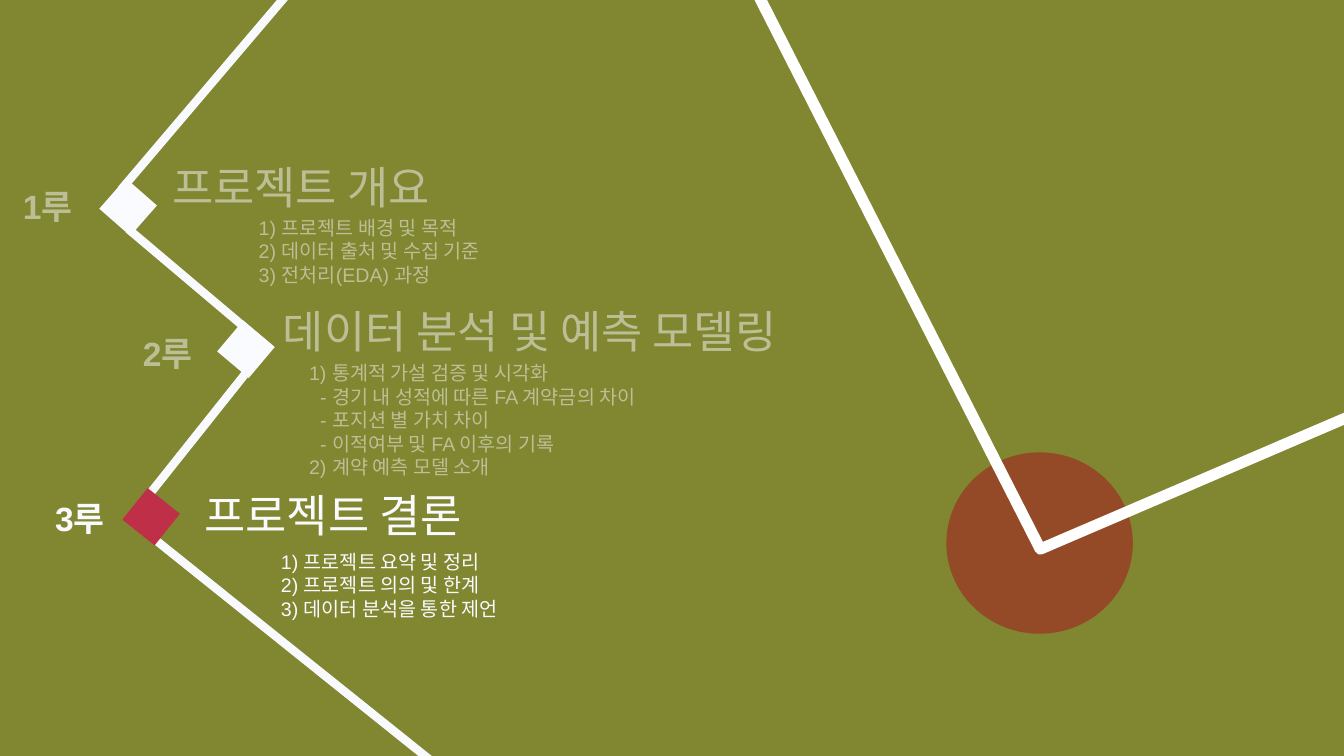
"""Build a baseball-diamond agenda slide with the conclusion section highlighted."""
import pptx
import pptx.util
import pptx.dml.color
import pptx.enum.shapes
import pptx.enum.text
import pptx.oxml
import pptx.oxml.ns

Cm = pptx.util.Cm
Pt = pptx.util.Pt
SHAPES = pptx.enum.shapes.MSO_SHAPE
CHALK = "F9FAFD"
GRASS = "818630"


def color(hex_string):
    return pptx.dml.color.RGBColor.from_string(hex_string)


def write(shape, lines, size, bold=False):
    frame = shape.text_frame
    frame.word_wrap = True
    frame.auto_size = pptx.enum.text.MSO_AUTO_SIZE.SHAPE_TO_FIT_TEXT
    frame.vertical_anchor = pptx.enum.text.MSO_ANCHOR.TOP
    frame.text = "\n".join(lines)
    for paragraph in frame.paragraphs:
        paragraph.alignment = pptx.enum.text.PP_ALIGN.LEFT
        paragraph.line_spacing = 1.0
        if paragraph.text.startswith("-"):
            paragraph._p.get_or_add_pPr().set("marL", str(Cm(0.28)))
        paragraph.font.name = "Arial"
        paragraph.font.size = Pt(size)
        paragraph.font.bold = bold
        paragraph.font.color.rgb = color(CHALK)


presentation = pptx.Presentation()
presentation.slide_width = Cm(33.87)
presentation.slide_height = Cm(19.05)
slide = presentation.slides.add_slide(presentation.slide_layouts[5])
slide.background.fill.solid()
slide.background.fill.fore_color.rgb = color(GRASS)
shapes = slide.shapes

title = shapes.title
title.left, title.top, title.width, title.height = Cm(4.9), Cm(12.17), Cm(14.3), Cm(1.63)
write(title, ["프로젝트 결론"], 32)

earlier_headings = [
    ("프로젝트 개요", 4.09, 3.91),
    ("데이터 분석 및 예측 모델링", 6.88, 7.54),
]
for heading, left, top in earlier_headings:
    write(shapes.add_textbox(Cm(left), Cm(top), Cm(14.3), Cm(1.63)), [heading], 32)

base_labels = [("1루", 0.33, 4.57), ("2루", 3.35, 8.26), ("3루", 1.14, 12.42)]
for label, left, top in base_labels:
    write(shapes.add_textbox(Cm(left), Cm(top), Cm(3.15), Cm(1.27)), [label], 24, True)

topics = [
    (6.27, 5.31, 2.06, [
        "1) 프로젝트 배경 및 목적",
        "2) 데이터 출처 및 수집 기준",
        "3) 전처리(EDA) 과정",
    ]),
    (7.54, 8.97, 3.25, [
        "1) 통계적 가설 검증 및 시각화",
        "- 경기 내 성적에 따른 FA 계약금의 차이",
        "- 포지션 별 가치 차이",
        "- 이적여부 및 FA 이후의 기록",
        "2) 계약 예측 모델 소개",
    ]),
    (6.83, 13.72, 2.06, [
        "1) 프로젝트 요약 및 정리",
        "2) 프로젝트 의의 및 한계",
        "3) 데이터 분석을 통한 제언",
    ]),
]
for left, top, height, lines in topics:
    write(shapes.add_textbox(Cm(left), Cm(top), Cm(18.82), Cm(height)), lines, 14)

veil = shapes.add_shape(SHAPES.RECTANGLE, Cm(0.15), Cm(2.46), Cm(19.48), Cm(9.75))
veil.shadow.inherit = False
veil.fill.solid()
veil.fill.fore_color.rgb = color(GRASS)
veil.line.fill.background()
veil_color = veil.fill._xPr.find(".//" + pptx.oxml.ns.qn("a:srgbClr"))
veil_color.append(pptx.oxml.parse_xml(
    f'<a:alpha {pptx.oxml.ns.nsdecls("a")} val="50000"/>'))

mound = shapes.add_shape(SHAPES.OVAL, Cm(23.85), Cm(11.4), Cm(4.7), Cm(4.57))
mound.shadow.inherit = False
mound.fill.solid()
mound.fill.fore_color.rgb = color("944A27")
mound.line.fill.background()

infield = shapes.add_shape(SHAPES.DIAMOND, Cm(16.74), Cm(-15.01), Cm(28.73), Cm(30.68))
infield.rotation = 109.9
infield.shadow.inherit = False
infield.fill.background()
infield.line.color.rgb = color("FFFFFF")
infield.line.width = Pt(8)

base_paths = [
    (7.37, -0.3, 3.05, 4.78),
    (3.23, 5.77, 6.83, 8.81),
    (6.3, 9.27, 3.73, 12.5),
    (3.2, 13.03, 11.25, 19.48),
]
for ends in base_paths:
    base_path = shapes.add_connector(
        pptx.enum.shapes.MSO_CONNECTOR.STRAIGHT, *[Cm(value) for value in ends])
    base_path.line.color.rgb = color(CHALK)
    base_path.line.width = Pt(6)
    base_path._element.spPr.append(pptx.oxml.parse_xml(
        f'<a:effectLst {pptx.oxml.ns.nsdecls("a")}/>'))

bases = [
    (2.72, 4.7, 311.2, "F9FBFE"),
    (5.69, 8.28, 310.1, "F9FBFE"),
    (3.3, 12.5, 308.6, "BF2F47"),
]
for left, top, rotation, fill in bases:
    base = shapes.add_shape(SHAPES.RECTANGLE, Cm(left), Cm(top), Cm(1.02), Cm(1.04))
    base.rotation = rotation
    base.shadow.inherit = False
    base.fill.solid()
    base.fill.fore_color.rgb = color(fill)
    base.line.fill.background()

presentation.save("out.pptx")
